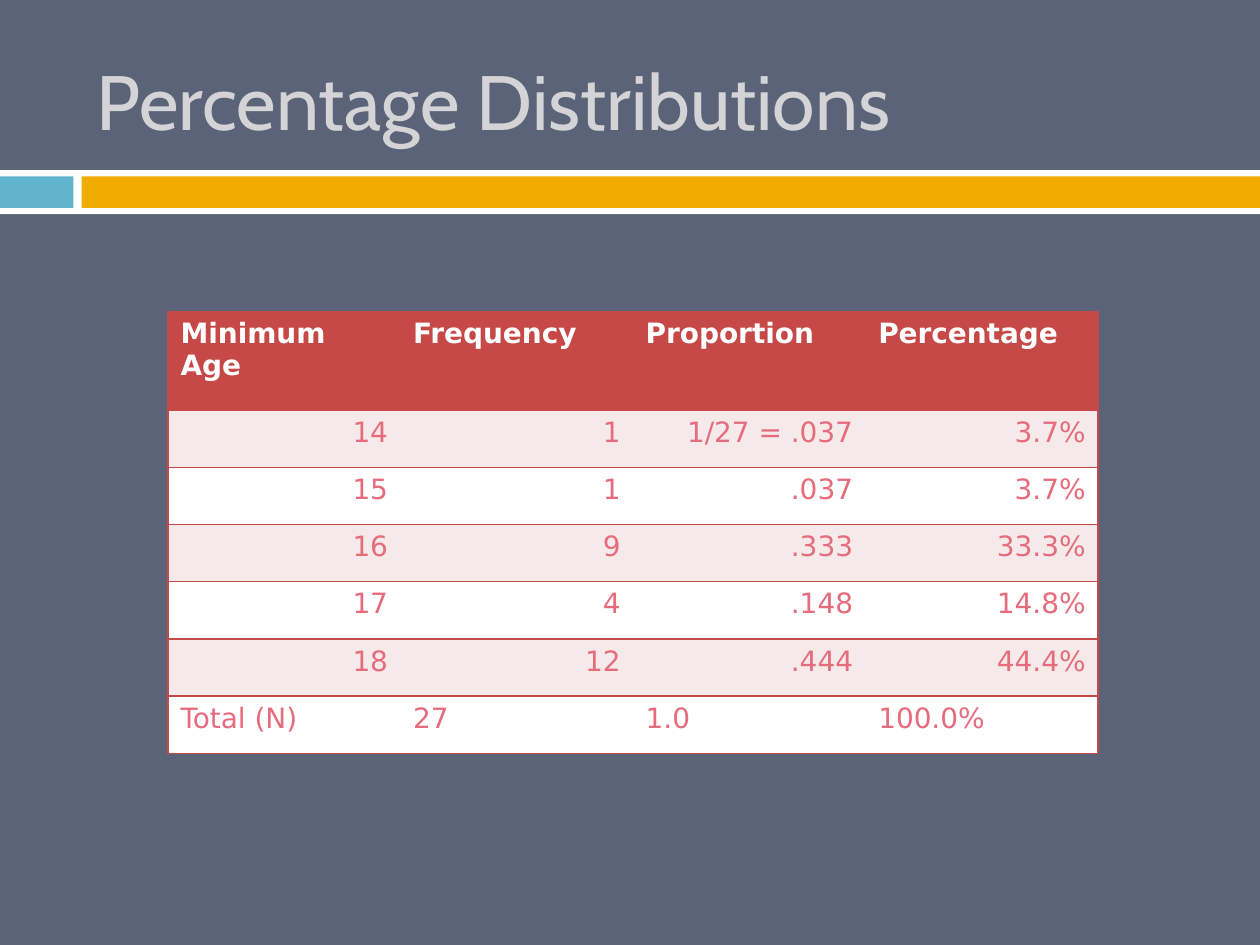
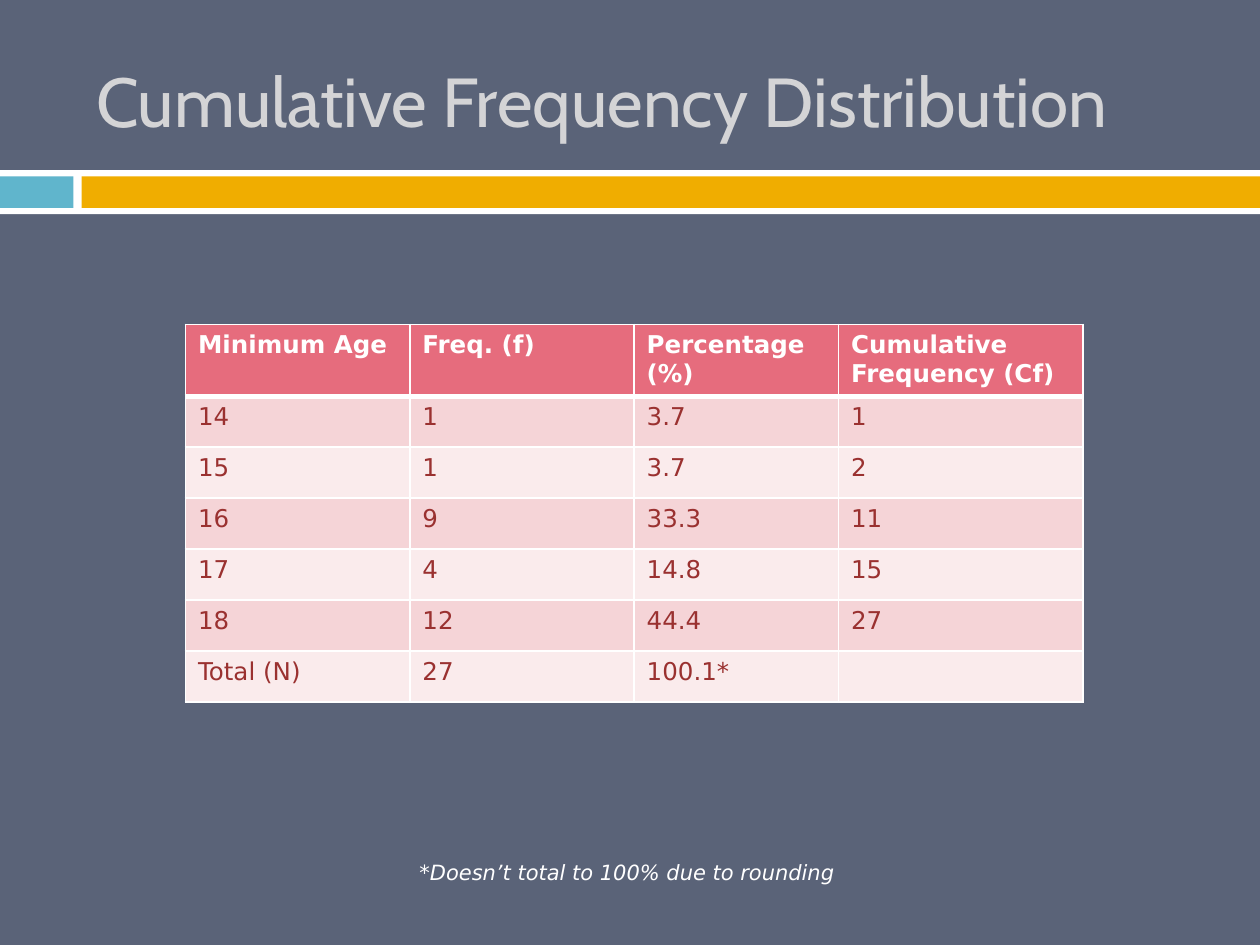
import pptx
import pptx.util
import pptx.dml.color
import pptx.enum.shapes
import pptx.enum.text
import pptx.oxml
import pptx.oxml.ns

Pt = pptx.util.Pt
RGB = pptx.dml.color.RGBColor
ALIGN = pptx.enum.text.PP_ALIGN
ANCHOR = pptx.enum.text.MSO_ANCHOR

SLATE = RGB(0x5A, 0x63, 0x78)
WHITE = RGB(0xFF, 0xFF, 0xFF)
SKY = RGB(0x60, 0xB5, 0xCC)
GOLD = RGB(0xF0, 0xAD, 0x00)
SILVER = RGB(0xD4, 0xD4, 0xD6)
RED = RGB(0xC6, 0x48, 0x47)
ROSE = RGB(0xE6, 0x6C, 0x7D)
BLUSH = RGB(0xF5, 0xE9, 0xE9)
PINK = RGB(0xF5, 0xD4, 0xD7)
PALE = RGB(0xFA, 0xEB, 0xEC)
WINE = RGB(0x9A, 0x31, 0x30)

HEAD = "Cabin"
BODY = "DejaVu Sans"
WIDE, HIGH = 720, 540

BANDS = [
    (0, 97.2, WIDE, 25.2, WHITE),
    (0, 100.8, 42, 18, SKY),
    (46.56, 100.8, WIDE - 46.56, 18, GOLD),
]

SLIDES = [
    {
        "title": "Percentage Distributions", "size": 44,
        "rows": [
            ("Minimum Age", "Frequency", "Proportion", "Percentage"),
            ("14", "1", "1/27 = .037", "3.7%"),
            ("15", "1", ".037", "3.7%"),
            ("16", "9", ".333", "33.3%"),
            ("17", "4", ".148", "14.8%"),
            ("18", "12", ".444", "44.4%"),
            ("Total (N)", "27", "1.0", "100.0%"),
        ],
        "at": (96, 178), "cols": [132.9] * 4, "top": 56.4, "row": 32.7,
        "text": 16, "ink": ROSE, "fills": (RED, BLUSH, WHITE),
        "line": RED, "grid": False, "rule": 1, "align": ALIGN.RIGHT,
    },
    {
        "title": "Cumulative Frequency Distribution", "size": 39.6,
        "rows": [
            ("Minimum Age", "Freq. (f)", "Percentage (%)",
             "Cumulative Frequency (Cf)"),
            ("14", "1", "3.7", "1"),
            ("15", "1", "3.7", "2"),
            ("16", "9", "33.3", "11"),
            ("17", "4", "14.8", "15"),
            ("18", "12", "44.4", "27"),
            ("Total (N)", "27", "100.1*", ""),
        ],
        "at": (106, 185.4), "cols": [128.2, 128.2, 116.8, 139.8],
        "top": 41, "row": 29.16,
        "text": 14, "ink": WINE, "fills": (ROSE, PINK, PALE),
        "line": WHITE, "grid": True, "rule": 3, "align": ALIGN.LEFT,
        "note": "*Doesn’t total to 100% due to rounding",
    },
]


def style(para, face, size, ink, bold=False, slant=False):
    for run in para.runs:
        font = run.font
        font.name, font.size = face, Pt(size)
        font.bold, font.italic = bold, slant
        font.color.rgb = ink


def label(slide, box, text, wrap):
    shape = slide.shapes.add_textbox(*map(Pt, box))
    frame = shape.text_frame
    frame.word_wrap = wrap
    frame.text = text
    return frame


def band(slide, left, top, width, height, fill):
    shape = slide.shapes.add_shape(
        pptx.enum.shapes.MSO_SHAPE.RECTANGLE,
        Pt(left), Pt(top), Pt(width), Pt(height))
    shape.shadow.inherit = False
    shape.fill.solid()
    shape.fill.fore_color.rgb = fill
    shape.line.fill.background()


def edge(cell, side, ink, width):
    paint = (f'<a:solidFill><a:srgbClr val="{ink}"/></a:solidFill>'
             if width else "<a:noFill/>")
    cell._tc.get_or_add_tcPr().append(pptx.oxml.parse_xml(
        f'<a:ln{side} {pptx.oxml.ns.nsdecls("a")} w="{Pt(width)}">'
        f"{paint}</a:ln{side}>"))


def grid(slide, data):
    rows, cols = data["rows"], data["cols"]
    last = len(rows) - 1
    tall = data["top"] + data["row"] * last
    table = slide.shapes.add_table(
        len(rows), len(cols), *map(Pt, (*data["at"], sum(cols), tall))).table
    for col, width in zip(table.columns, cols):
        col.width = Pt(width)
    for r, texts in enumerate(rows):
        table.rows[r].height = Pt(data["row"] if r else data["top"])
        for c, text in enumerate(texts):
            cell = table.cell(r, c)
            sides = {
                "L": int(data["grid"] or c == 0),
                "R": int(data["grid"] or c == len(cols) - 1),
                "T": data["rule"] if r == 1 else 1,
                "B": data["rule"] if r == 0 else 1,
            }
            for side, width in sides.items():
                edge(cell, side, data["line"], width)
            cell.fill.solid()
            cell.fill.fore_color.rgb = data["fills"][2 - r % 2 if r else 0]
            cell.text = text
            para = cell.text_frame.paragraphs[0]
            para.alignment = data["align"] if 0 < r < last else ALIGN.LEFT
            style(para, BODY, data["text"], data["ink"] if r else WHITE, r == 0)


deck = pptx.Presentation()
deck.slide_width, deck.slide_height = Pt(WIDE), Pt(HIGH)
for data in SLIDES:
    slide = deck.slides.add_slide(deck.slide_layouts[6])
    slide.background.fill.solid()
    slide.background.fill.fore_color.rgb = SLATE
    for item in BANDS:
        band(slide, *item)
    title = label(slide, (48, 18, 642, 78), data["title"], True)
    title.vertical_anchor = ANCHOR.MIDDLE
    style(title.paragraphs[0], HEAD, data["size"], SILVER)
    if "note" in data:
        note = label(slide, (232.6, 487.4, 261.4, 21.8), data["note"], False)
        style(note.paragraphs[0], BODY, 12, WHITE, slant=True)
    grid(slide, data)
deck.save("out.pptx")
